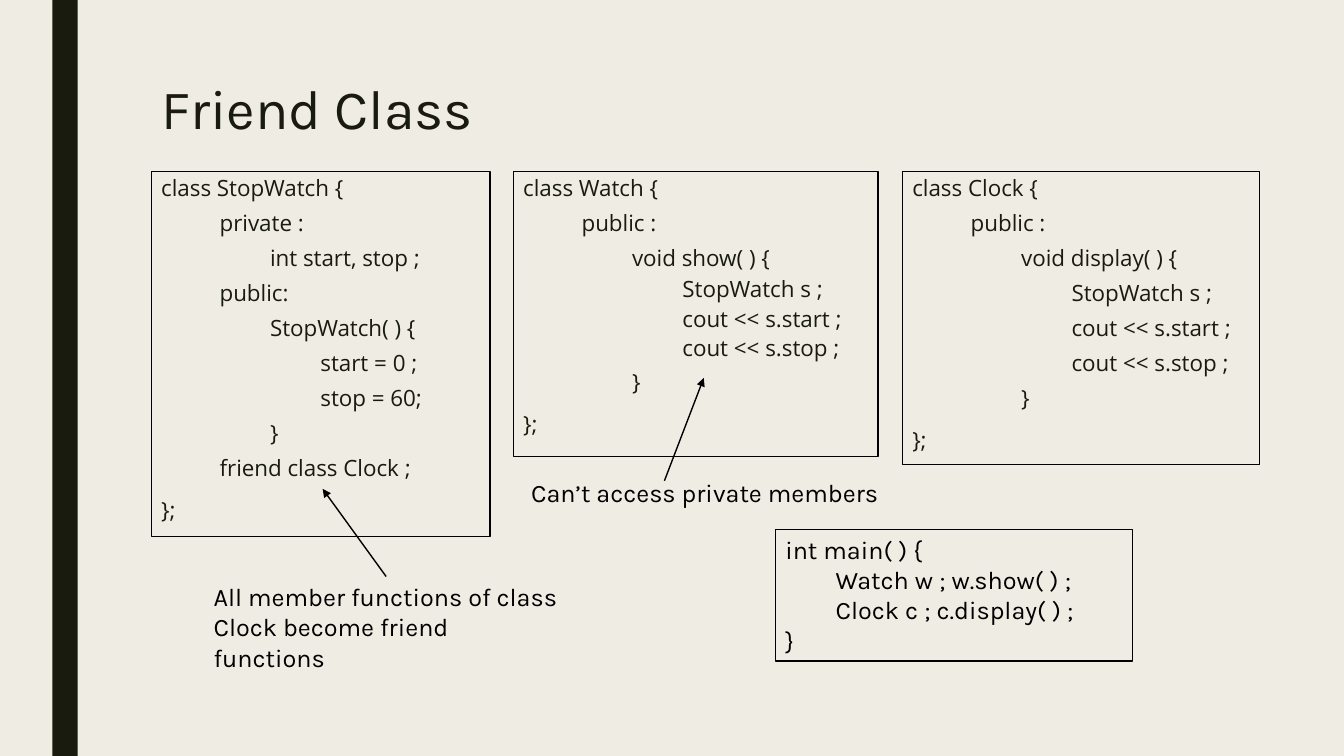
from lxml.etree import SubElement
from pptx import Presentation
from pptx.dml.color import RGBColor
from pptx.enum.shapes import MSO_CONNECTOR, MSO_SHAPE
from pptx.enum.text import MSO_ANCHOR, PP_ALIGN
from pptx.oxml.ns import qn
from pptx.util import Inches, Pt

# Content: code lines are (indent level, text)
TITLE = "Friend Class"
STOPWATCH = [
    (0, "class StopWatch {"), (1, "private :"), (2, "int start, stop ;"),
    (1, "public:"), (2, "StopWatch( ) {"), (3, "start = 0 ;"),
    (3, "stop = 60;"), (2, "}"), (1, "friend class Clock ;"), (0, "};"),
]


def user_class(name, method):
    return [
        (0, f"class {name} {{"), (1, "public :"), (2, f"void {method}( ) {{"),
        (3, "StopWatch s ;"), (3, "cout << s.start ;"),
        (3, "cout << s.stop ;"), (2, "}"), (0, "};"),
    ]


MAIN = [(0, "int main( ) {"), (1, "Watch w ; w.show( ) ;"),
        (1, "Clock c ; c.display( ) ;"), (0, "}")]

# Class boxes: left, width, height, spacing of the innermost lines, code
TOP = 1.7
CLASSES = [
    (1.5, 3.36, 3.62, 0.94, STOPWATCH),
    (5.09, 3.62, 2.83, 0.74, user_class("Watch", "show")),
    (8.95, 3.54, 2.91, 0.94, user_class("Clock", "display")),
]
# Notes: box, text, arrow start, arrow tip
NOTES = [
    ((5.17, 4.69, 3.7, 0.4), "Can’t access private members",
     (6.59, 4.77), (6.98, 3.75)),
    ((2.02, 5.72, 3.62, 0.71),
     "All member functions of class Clock become friend functions",
     (3.83, 5.72), (3.2, 4.85)),
]

CREAM = RGBColor(0xEF, 0xED, 0xE3)
INK = RGBColor(0x19, 0x1B, 0x0E)
BLACK = RGBColor(0, 0, 0)
HEAD_FONT, CODE_FONT = "Karla", "Open Sans"


def set_font(p, name, size, color):
    p.font.name, p.font.size, p.font.color.rgb = name, Pt(size), color


def add_box(s, x, y, w, h):
    box = s.shapes.add_shape(MSO_SHAPE.RECTANGLE, *map(Inches, (x, y, w, h)))
    box.shadow.inherit = False
    box.fill.background()
    box.line.color.rgb = BLACK
    box.line.width = Pt(1)
    tf = box.text_frame
    tf.word_wrap = True
    tf.vertical_anchor = MSO_ANCHOR.TOP
    return tf


def add_lines(tf, lines, font, size, color, first_indent):
    """Write code lines, each level half an inch deeper than the last."""
    for i, (level, text) in enumerate(lines):
        p = tf.paragraphs[0] if i == 0 else tf.add_paragraph()
        p.text, p.level, p.alignment = text, level, PP_ALIGN.LEFT
        set_font(p, font, size, color)
        indent = first_indent + 0.5 * (level - 1) if level else 0
        pPr = p._p.get_or_add_pPr()
        pPr.set("marL", str(Inches(indent)))
        pPr.set("indent", "0")


def add_arrow(s, start, tip):
    arrow = s.shapes.add_connector(MSO_CONNECTOR.STRAIGHT,
                                   *map(Inches, start + tip))
    arrow.line.color.rgb = BLACK
    arrow.line.width = Pt(1)
    SubElement(arrow.line._get_or_add_ln(), qn("a:tailEnd"), type="triangle")
    SubElement(arrow._element.spPr, qn("a:effectLst"))


prs = Presentation()
prs.slide_width, prs.slide_height = Inches(13.33), Inches(7.5)
s = prs.slides.add_slide(prs.slide_layouts[5])
s.background.fill.solid()
s.background.fill.fore_color.rgb = CREAM

# Side band
band = s.shapes.add_shape(MSO_SHAPE.RECTANGLE, Inches(0.52), 0,
                          Inches(0.25), prs.slide_height)
band.shadow.inherit = False
band.fill.solid()
band.fill.fore_color.rgb = INK
band.line.fill.background()

# Title
title = s.shapes.title
title.left, title.top, title.width, title.height = map(
    Inches, (1.5, 0.75, 10.5, 0.72))
title.text_frame.text = TITLE
title.text_frame.vertical_anchor = MSO_ANCHOR.MIDDLE
p = title.text_frame.paragraphs[0]
p.alignment, p.line_spacing = PP_ALIGN.LEFT, 0.89
set_font(p, HEAD_FONT, 39.6, INK)

# Class boxes
for x, w, h, inner_spacing, code in CLASSES:
    tf = add_box(s, x, TOP, w, h)
    add_lines(tf, code, CODE_FONT, 16, INK, 0.58)
    for p in tf.paragraphs:
        p.line_spacing = inner_spacing if p.level == 3 else 0.94
        p.space_before = Pt(5 if p.level else 10)
        p.space_after = Pt(2)

# Main program
add_lines(add_box(s, 7.69, 5.25, 3.54, 1.31), MAIN, HEAD_FONT, 18, BLACK, 0.5)

# Notes with arrows
for box, text, start, tip in NOTES:
    tf = s.shapes.add_textbox(*map(Inches, box)).text_frame
    tf.word_wrap = True
    tf.text = text
    set_font(tf.paragraphs[0], HEAD_FONT, 18, BLACK)
    add_arrow(s, start, tip)

prs.save("out.pptx")
